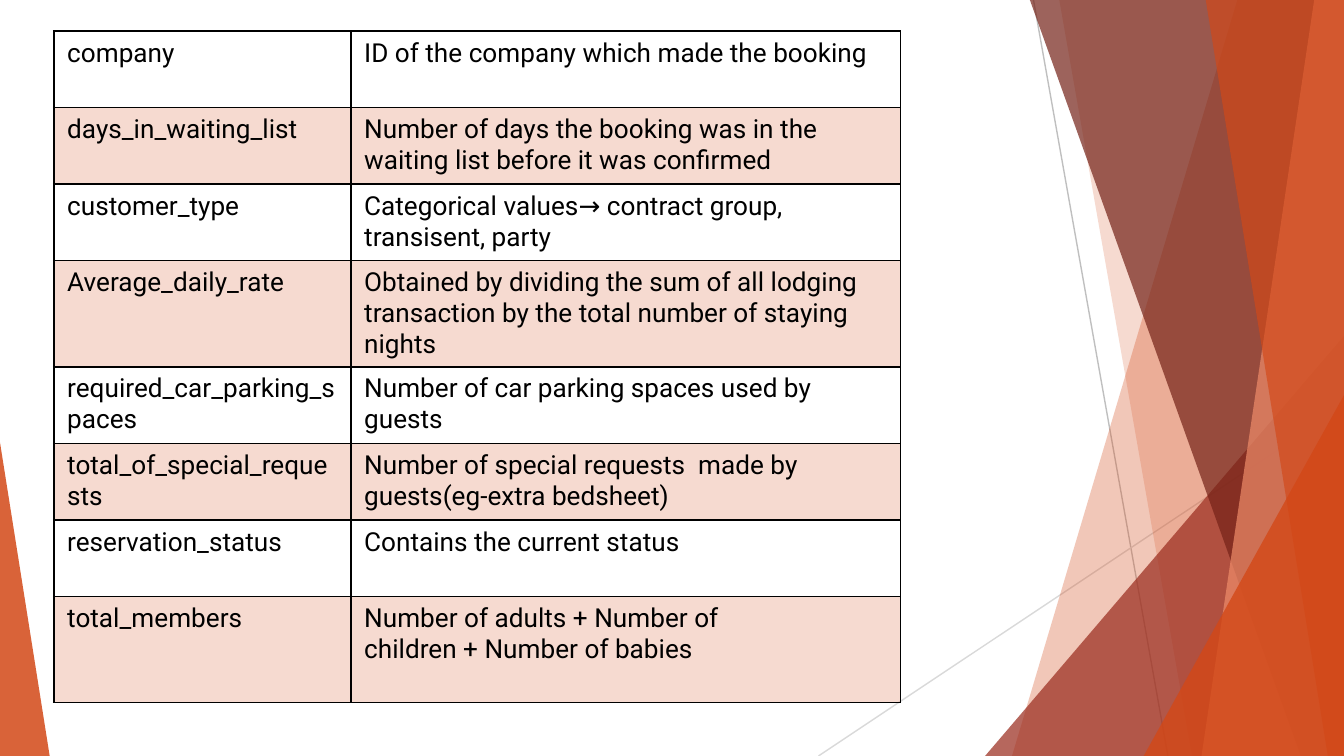
from lxml import etree
from pptx import Presentation
from pptx.dml import color
from pptx.enum import shapes
from pptx.oxml import ns
from pptx import util as u

WIDTH = u.Inches(10)
HEIGHT = u.Emu(WIDTH * 9 // 16)
UNIT = WIDTH / 10
RIGHT, BOTTOM = WIDTH / UNIT, HEIGHT / UNIT
FONT = "Roboto"
HARD_SPACE = chr(160)
COLORS = {
    "orange": "D34817",
    "red": "9B2D1F",
    "maroon": "742217",
    "salmon": "EF8C6A",
    "gray": "BFBFBF",
    "light_gray": "D9D9D9",
    "black": "000000",
}

BANDS = [
    (9.21, 7.53, "orange", 30),
    (7.88, 8.87, "orange", 20),
    (7.66, 9.68, "maroon", 70),
    (9.78, 8.94, "salmon", 70),
    (8.97, 9.88, "orange", 65),
]

FIELDS = [
    ("company", "ID of the company which made the booking"),
    ("days_in_waiting_list",
     "Number of days the booking was in the waiting list before it was confirmed"),
    ("customer_type", "Categorical values→ contract group, transisent, party"),
    ("Average_daily_rate",
     "Obtained by dividing the sum of all lodging transaction by the total "
     "number of staying nights"),
    ("required_car_parking_spaces", "Number of car parking spaces used by guests"),
    ("total_of_special_requests",
     "Number of special requests  made by guests(eg-extra bedsheet)"),
    ("reservation_status", "Contains the current status"),
    ("total_members", HARD_SPACE.join(
        ["Number of adults", "+", "Number of children", "+", "Number of babies"])),
]
TALL_FIELDS = {"Average_daily_rate", "total_members"}


def grid(units):
    return u.Emu(round(units * UNIT))


def rgb(name):
    return color.RGBColor.from_string(COLORS[name])


def set_fill(fill, name, opacity):
    fill.solid()
    fill.fore_color.rgb = rgb(name)
    choice = fill._xPr.find(ns.qn("a:solidFill"))[0]
    etree.SubElement(choice, ns.qn("a:alpha"), val=str(opacity * 1000))


def style_shape(shape, name, opacity):
    shape.shadow.inherit = False
    shape.line.fill.background()
    set_fill(shape.fill, name, opacity)


def add_line(slide, start, end, name):
    line = slide.shapes.add_connector(
        shapes.MSO_CONNECTOR.STRAIGHT, *map(grid, start + end))
    line.line.color.rgb = rgb(name)
    line.line.width = u.Pt(0.75)
    etree.SubElement(line._element.spPr, ns.qn("a:effectLst"))


def add_band(slide, top_x, bottom_x, name, opacity):
    top = grid(-0.01)
    builder = slide.shapes.build_freeform(grid(top_x), top)
    builder.add_line_segments([
        (grid(RIGHT), top),
        (grid(RIGHT), grid(BOTTOM)),
        (grid(bottom_x), grid(BOTTOM)),
    ], close=True)
    style_shape(builder.convert_to_shape(), name, opacity)


def add_triangle(slide, left, top, width, peak, name, opacity):
    triangle = slide.shapes.add_shape(
        shapes.MSO_SHAPE.ISOSCELES_TRIANGLE,
        grid(left), grid(top), grid(width), grid(BOTTOM - top))
    triangle.adjustments[0] = peak
    style_shape(triangle, name, opacity)


def add_borders(cell):
    properties = cell._tc.get_or_add_tcPr()
    for index, side in enumerate(("lnL", "lnR", "lnT", "lnB")):
        border = etree.Element(ns.qn(f"a:{side}"), w=str(u.Pt(1)))
        fill = etree.SubElement(border, ns.qn("a:solidFill"))
        etree.SubElement(fill, ns.qn("a:srgbClr"), val=COLORS["black"])
        properties.insert(index, border)


def fill_cell(cell, words, shaded):
    cell.margin_left = cell.margin_right = u.Inches(0.1)
    cell.margin_top = cell.margin_bottom = u.Inches(0.05)
    run = cell.text_frame.paragraphs[0].add_run()
    run.text = words
    run.font.name = FONT
    run.font.size = u.Pt(14)
    run.font.bold = False
    run.font.color.rgb = rgb("black")
    if shaded:
        set_fill(cell.fill, "orange", 20)
    else:
        cell.fill.background()
    add_borders(cell)


def add_field_table(slide):
    heights = [0.79 if name in TALL_FIELDS else 0.57 for name, _ in FIELDS]
    table = slide.shapes.add_table(
        len(FIELDS), 2, grid(0.4), grid(0.23),
        grid(6.3), grid(sum(heights))).table
    table.first_row = table.horz_banding = False
    for column, width in zip(table.columns, (2.21, 4.09)):
        column.width = grid(width)
    for row_index, (field, height) in enumerate(zip(FIELDS, heights)):
        table.rows[row_index].height = grid(height)
        for column_index, words in enumerate(field):
            fill_cell(table.cell(row_index, column_index), words, row_index % 2 == 1)


def main():
    presentation = Presentation()
    presentation.slide_width, presentation.slide_height = WIDTH, HEIGHT
    slide = presentation.slides.add_slide(presentation.slide_layouts[6])
    add_line(slide, (7.69, 0), (8.69, BOTTOM), "gray")
    add_line(slide, (RIGHT, 3.02), (6.09, BOTTOM), "light_gray")
    for band in BANDS[:2]:
        add_band(slide, *band)
    add_triangle(slide, 7.33, 2.5, 2.67, 1, "red", 72)
    for band in BANDS[2:]:
        add_band(slide, *band)
    add_triangle(slide, 8.51, 2.94, 1.49, 1, "orange", 80)
    add_triangle(slide, 0, 3.29, 0.37, 0, "orange", 85)
    add_field_table(slide)
    presentation.save("out.pptx")


if __name__ == "__main__":
    main()
